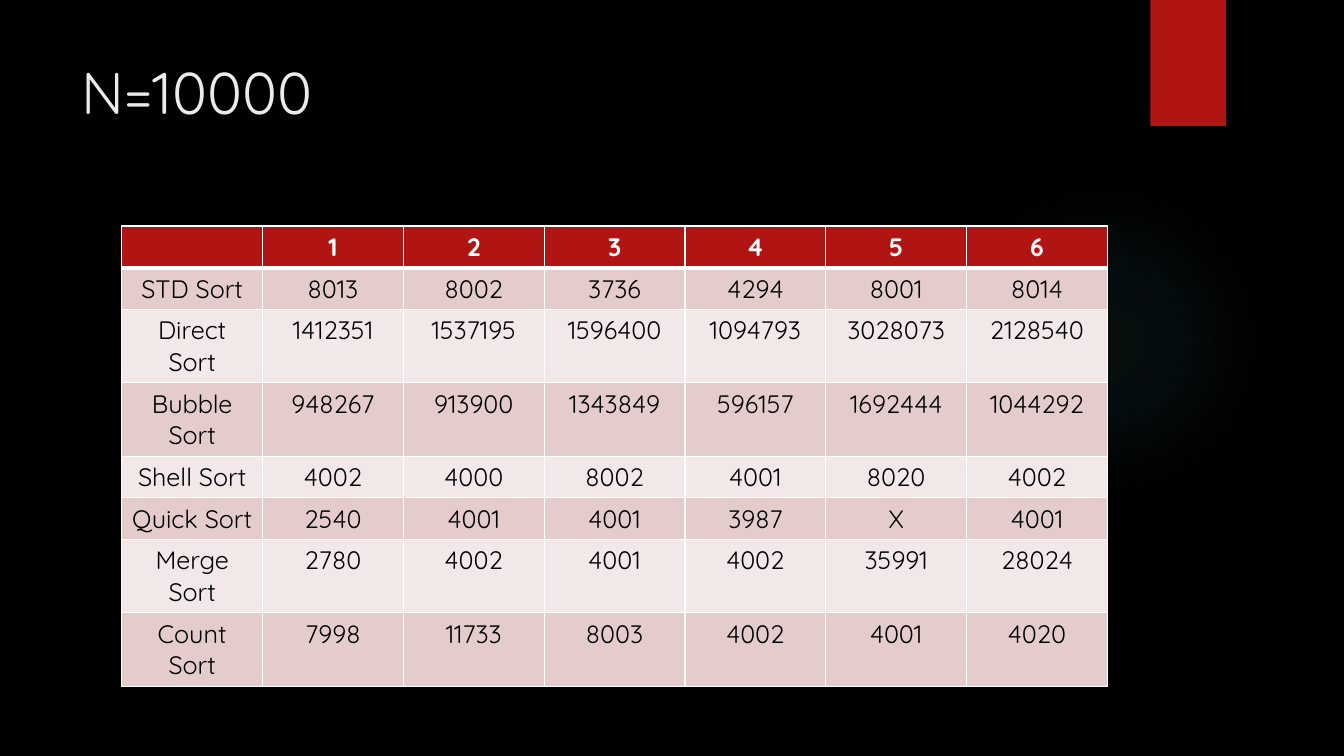
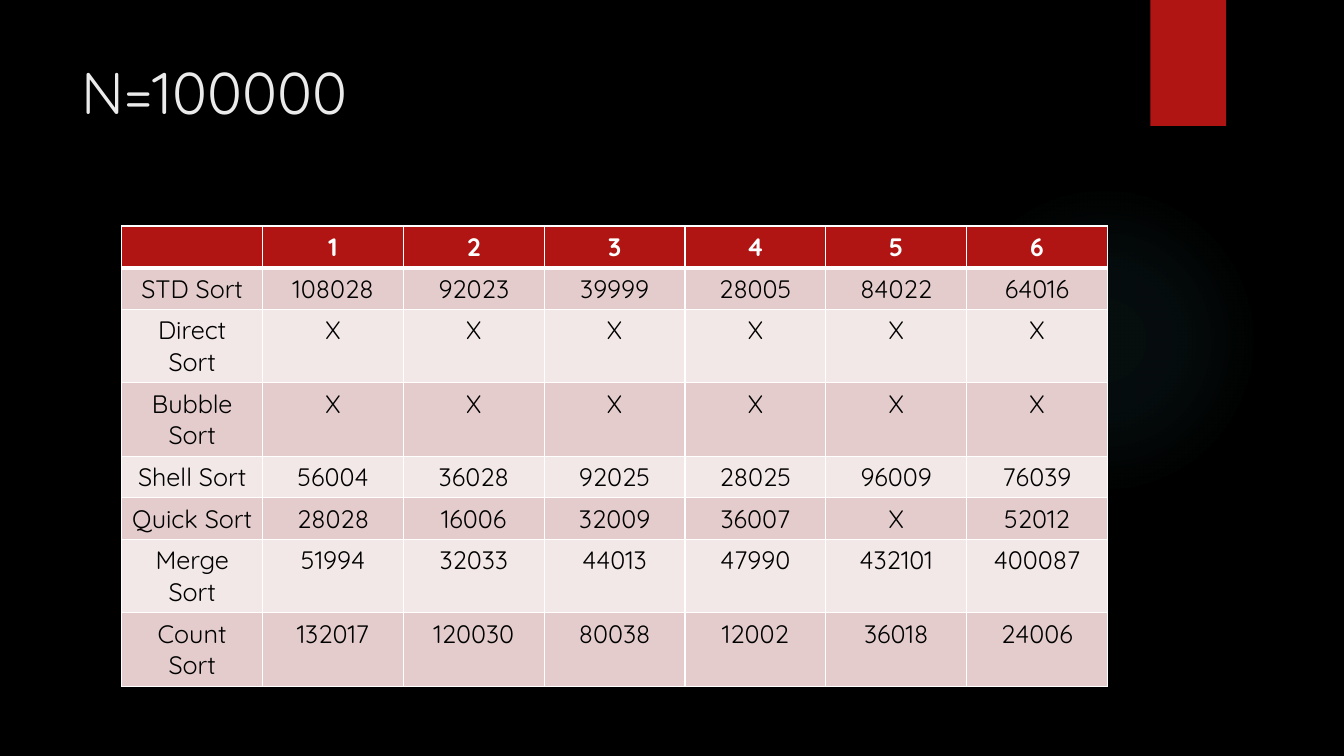
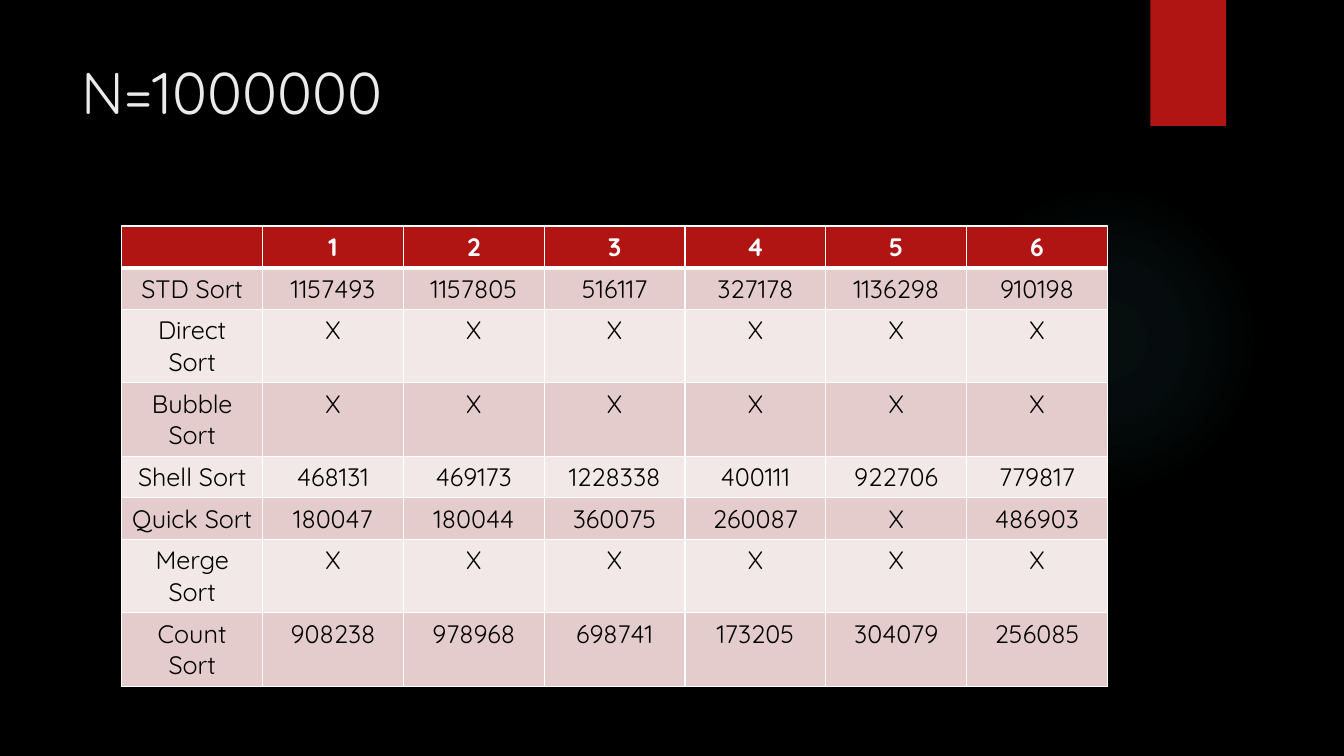
"""Build three slides comparing sorting times for growing input sizes."""
from lxml import etree
from pptx import Presentation
from pptx.dml.color import RGBColor
from pptx.enum.shapes import MSO_SHAPE as SHAPE
from pptx.enum.text import MSO_ANCHOR as ANCHOR, MSO_AUTO_SIZE as AUTO, PP_ALIGN as ALIGN
from pptx.oxml import parse_xml
from pptx.oxml.ns import nsdecls, qn
from pptx.util import Pt

FONT = "Quicksand"
RED, WHITE, BLACK, PALE, GLOW = "B01513", "FFFFFF", "000000", "EBEBEB", "50B9C1"
BANDS = ["F2E8E7", "E4CCCC"]
SORTS = ["STD", "Direct", "Bubble", "Shell", "Quick", "Merge", "Count"]
COL_W, ROW_H = 100.6, 29.2
UNTIMED = "X X X X X X"

RESULTS = {
    "N=10000": [
        "8013 8002 3736 4294 8001 8014",
        "1412351 1537195 1596400 1094793 3028073 2128540",
        "948267 913900 1343849 596157 1692444 1044292",
        "4002 4000 8002 4001 8020 4002",
        "2540 4001 4001 3987 X 4001",
        "2780 4002 4001 4002 35991 28024",
        "7998 11733 8003 4002 4001 4020",
    ],
    "N=100000": [
        "108028 92023 39999 28005 84022 64016",
        UNTIMED,
        UNTIMED,
        "56004 36028 92025 28025 96009 76039",
        "28028 16006 32009 36007 X 52012",
        "51994 32033 44013 47990 432101 400087",
        "132017 120030 80038 12002 36018 24006",
    ],
    "N=1000000": [
        "1157493 1157805 516117 327178 1136298 910198",
        UNTIMED,
        UNTIMED,
        "468131 469173 1228338 400111 922706 779817",
        "180047 180044 360075 260087 X 486903",
        UNTIMED,
        "908238 978968 698741 173205 304079 256085",
    ],
}


def rgb(color):
    return RGBColor.from_string(color)


def style_text(p, size, color, align, bold=False):
    p.alignment = align
    p.font.name = FONT
    p.font.size = Pt(size)
    p.font.bold = bold
    p.font.color.rgb = rgb(color)


prs = Presentation()
prs.slide_width, prs.slide_height = Pt(960), Pt(540)
layout = prs.slide_layouts[5]
layout.background.fill.solid()
layout.background.fill.fore_color.rgb = rgb(BLACK)
for ph in list(layout.placeholders):
    if ph.placeholder_format.idx:
        layout.shapes.element.remove(ph.element)
    else:
        ph.left, ph.top, ph.width, ph.height = Pt(51), Pt(36), Pt(741), Pt(110)

slides = [prs.slides.add_slide(layout) for _ in RESULTS]

shapes = slides[0].shapes
glow = shapes.add_shape(SHAPE.OVAL, Pt(677.5), Pt(131.8), Pt(221.8), Pt(221.8))
ribbon = shapes.add_shape(SHAPE.RECTANGLE, Pt(821.8), Pt(0), Pt(54), Pt(90))
for i, sp in enumerate([glow, ribbon]):
    sp.shadow.inherit = False
    sp.line.fill.background()
    sp.fill.solid()
    sp.fill.fore_color.rgb = rgb(RED)
    layout.shapes.element.insert(2 + i, sp.element)

stops = "".join(
    f'<a:gs pos="{pos}000"><a:srgbClr val="{GLOW}"><a:alpha val="{alpha}000"/></a:srgbClr></a:gs>'
    for pos, alpha in [(0, 7), (36, 6), (69, 0)])
glow_pr = glow.element.spPr
glow_pr.replace(glow_pr.find(qn("a:solidFill")), parse_xml(
    f'<a:gradFill {nsdecls("a")}><a:gsLst>{stops}</a:gsLst><a:path path="circle">'
    '<a:fillToRect l="50000" t="50000" r="50000" b="50000"/></a:path></a:gradFill>'))
ribbon.element.spPr.find(qn("a:effectLst")).append(parse_xml(
    f'<a:outerShdw {nsdecls("a")} blurRad="{Pt(3)}" dist="{Pt(2)}" dir="5400000">'
    f'<a:srgbClr val="{BLACK}"><a:alpha val="45000"/></a:srgbClr></a:outerShdw>'))

for s, (title, times) in zip(slides, RESULTS.items()):
    tf = s.shapes.title.text_frame
    tf.text = title
    tf.auto_size = AUTO.NONE
    tf.vertical_anchor = ANCHOR.TOP
    style_text(tf.paragraphs[0], 42, PALE, ALIGN.LEFT)

    rows = [["", *"123456"]]
    rows += [[f"{name} Sort", *line.split()] for name, line in zip(SORTS, times)]
    n_rows, n_cols = len(rows), len(rows[0])
    table = s.shapes.add_table(n_rows, n_cols, Pt(87), Pt(161.5),
                               Pt(COL_W * n_cols), Pt(ROW_H * n_rows)).table
    for col in table.columns:
        col.width = Pt(COL_W)
    for r, row in enumerate(rows):
        table.rows[r].height = Pt(ROW_H)
        header = r == 0
        for c, text in enumerate(row):
            cell = table.cell(r, c)
            cell.text = text
            style_text(cell.text_frame.paragraphs[0], 18, WHITE if header else BLACK,
                       ALIGN.CENTER, header)
            cell.fill.solid()
            cell.fill.fore_color.rgb = rgb(RED if header else BANDS[r % 2])
            tc_pr = cell.fill._xPr
            for i, side in enumerate("LRTB"):
                thick = (r, side) in [(0, "B"), (1, "T")]
                ln = etree.Element(qn(f"a:ln{side}"), w=str(Pt(3 if thick else 1)))
                fill = etree.SubElement(ln, qn("a:solidFill"))
                etree.SubElement(fill, qn("a:srgbClr"), val=WHITE)
                tc_pr.insert(i, ln)

prs.save("out.pptx")
